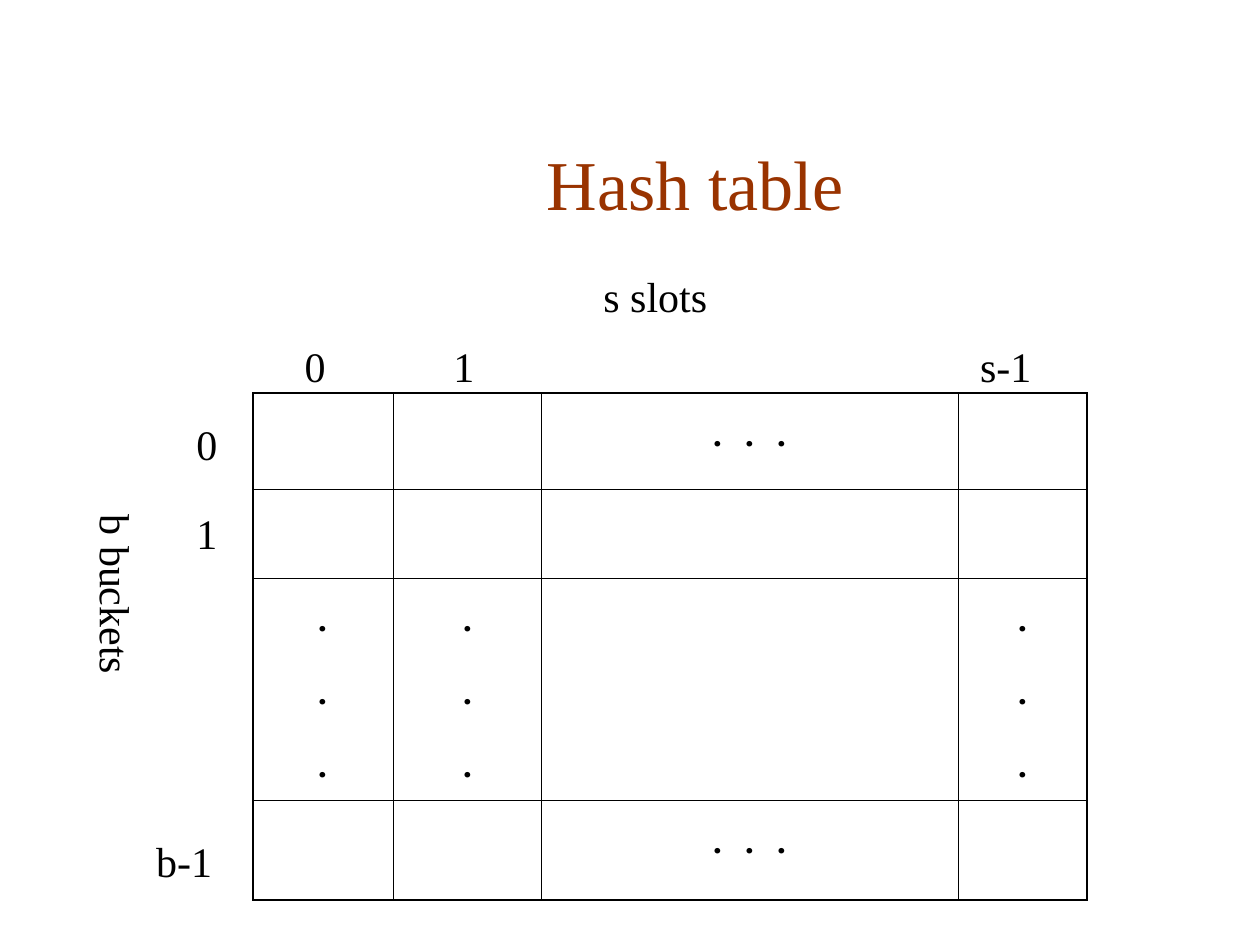
from pptx import Presentation
from pptx.dml.color import RGBColor
from pptx.enum.text import MSO_ANCHOR as Anchor, PP_ALIGN as Align
from pptx.oxml.ns import qn
from pptx.util import Inches, Pt
from lxml import etree

BLACK = RGBColor(0x00, 0x00, 0x00)
RUST = RGBColor(0x99, 0x33, 0x00)
SERIF = "Times New Roman"
THIN, THICK = Pt(0.45), Pt(1.08)


def add_label(text, left, top, width, height=0.5, size=24, color=BLACK):
    box = page.shapes.add_textbox(Inches(left), Inches(top), Inches(width), Inches(height))
    box.text_frame.word_wrap = True
    span = box.text_frame.paragraphs[0].add_run()
    span.text = text
    span.font.name, span.font.size = SERIF, Pt(size)
    span.font.color.rgb = color
    return box


def set_borders(cell, widths):
    props = cell._tc.get_or_add_tcPr()
    for index, (side, width) in enumerate(widths.items()):
        line = etree.Element(qn(f"a:ln{side}"), w=str(width))
        fill = etree.SubElement(line, qn("a:solidFill"))
        etree.SubElement(fill, qn("a:srgbClr"), val=str(BLACK))
        props.insert(index, line)


deck = Presentation()
deck.slide_width, deck.slide_height = Inches(10), Inches(7.5)
page = deck.slides.add_slide(deck.slide_layouts[6])

# Title
title = add_label("Hash table", 1.26, 0.23, 8.52, 1.6, 40, RUST)
title.text_frame.vertical_anchor = Anchor.BOTTOM
title.text_frame.paragraphs[0].alignment = Align.CENTER

# Bucket and slot grid
col_widths = [1.11, 1.18, 3.31, 1.02]
row_heights = [0.76, 0.71, 1.76, 0.79]
last_row, last_col = len(row_heights) - 1, len(col_widths) - 1
frame = page.shapes.add_table(
    len(row_heights), len(col_widths), Inches(2.01), Inches(3.12),
    Inches(sum(col_widths)), Inches(sum(row_heights)))
table = frame.table
table.first_row = table.horz_banding = False
for column, width in zip(table.columns, col_widths):
    column.width = Inches(width)
for row, height in zip(table.rows, row_heights):
    row.height = Inches(height)

# Ellipses run across the wide column and down the tall row
across, down = [".  .  ."], ["."] * 3
dots = {(0, 2): across, (3, 2): across, (2, 0): down, (2, 1): down, (2, 3): down}

for r in range(last_row + 1):
    for c in range(last_col + 1):
        cell = table.cell(r, c)
        cell.fill.background()
        set_borders(cell, {
            "L": THICK if c == 0 else THIN,
            "R": THICK if c == last_col else THIN,
            "T": THICK if r == 0 else THIN,
            "B": THICK if r == last_row else THIN,
        })
        for i, text in enumerate(dots.get((r, c), [])):
            if i == 0:
                para = cell.text_frame.paragraphs[0]
            else:
                para = cell.text_frame.add_paragraph()
                para.space_before = Pt(8)
            para.alignment = Align.CENTER
            para.line_spacing = 1.03
            span = para.add_run()
            span.text = text
            span.font.name, span.font.size = "Karla", Pt(28)
            span.font.color.rgb = BLACK

# Axis names
buckets = add_label("b buckets", -0.1, 4.76, 2.05)
buckets.rotation = 90
add_label("s slots", 4.69, 2.1, 1.65)

# Row numbers
for text, left, top, width in [("0", 1.46, 3.27, 0.39), ("1", 1.46, 3.98, 0.39),
                               ("b-1", 1.14, 6.58, 0.87)]:
    add_label(text, left, top, width)

# Column numbers
for text, left, width in [("0", 2.32, 0.39), ("1", 3.5, 0.39), ("s-1", 7.68, 0.87)]:
    add_label(text, left, 2.65, width)

deck.save("out.pptx")
